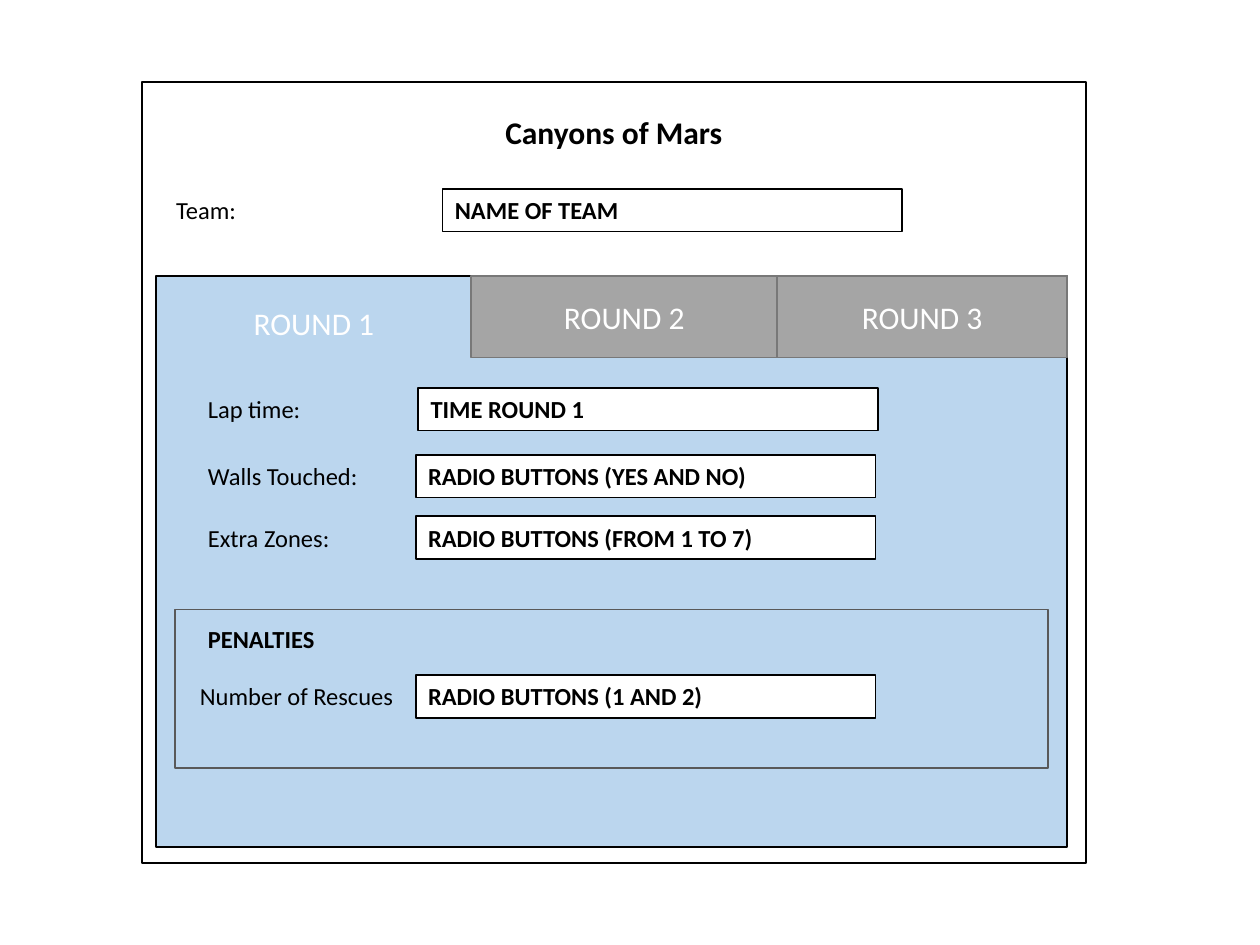
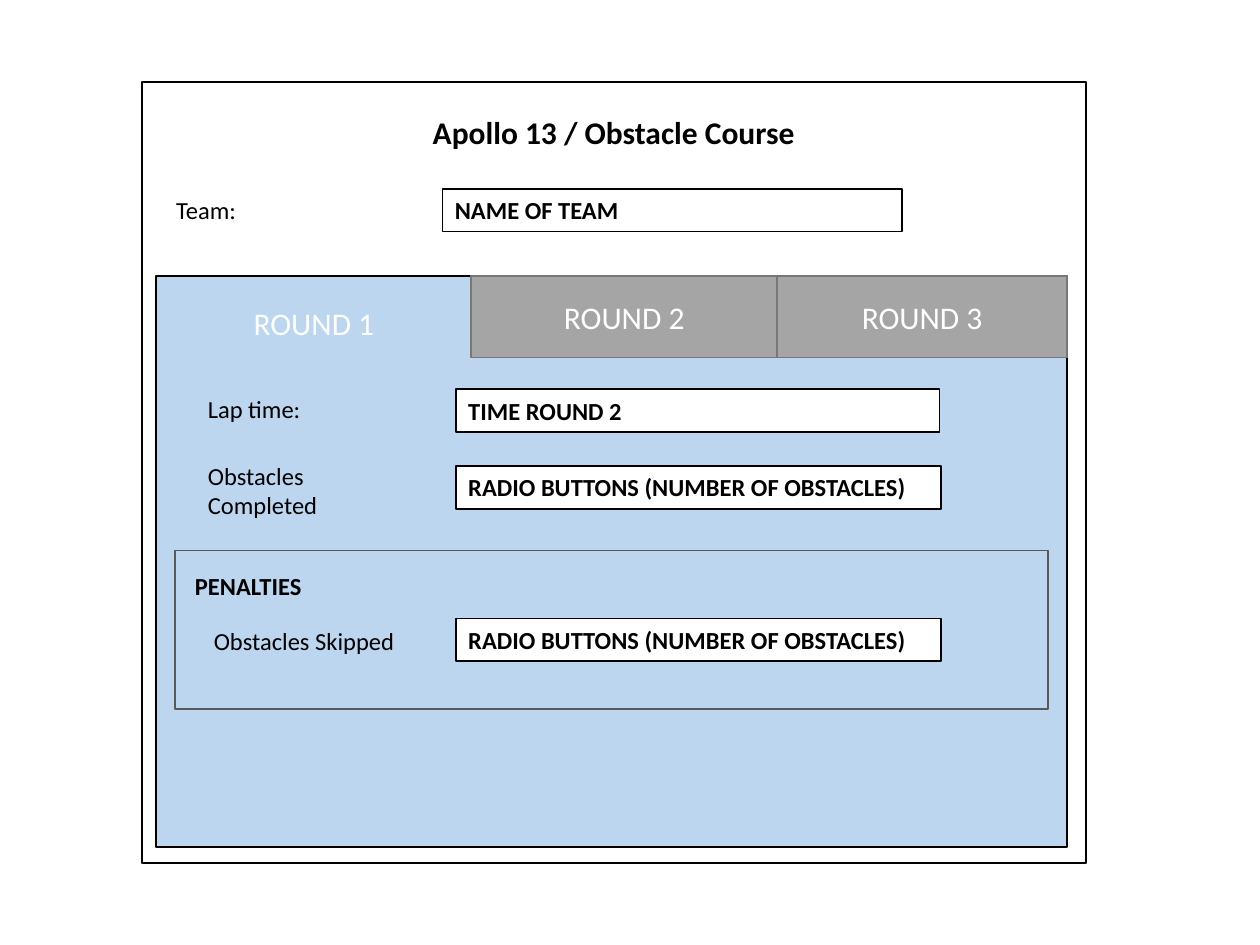
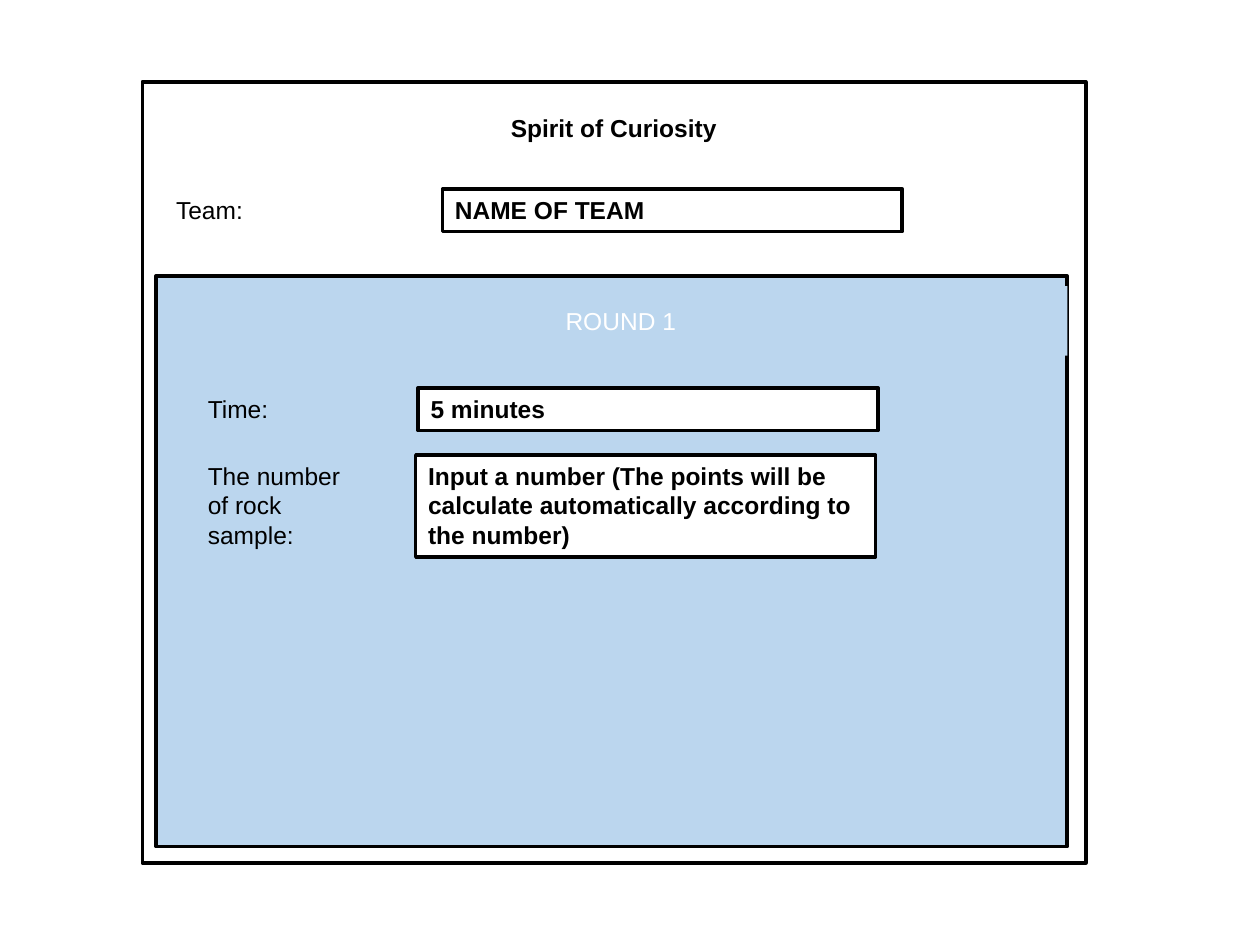
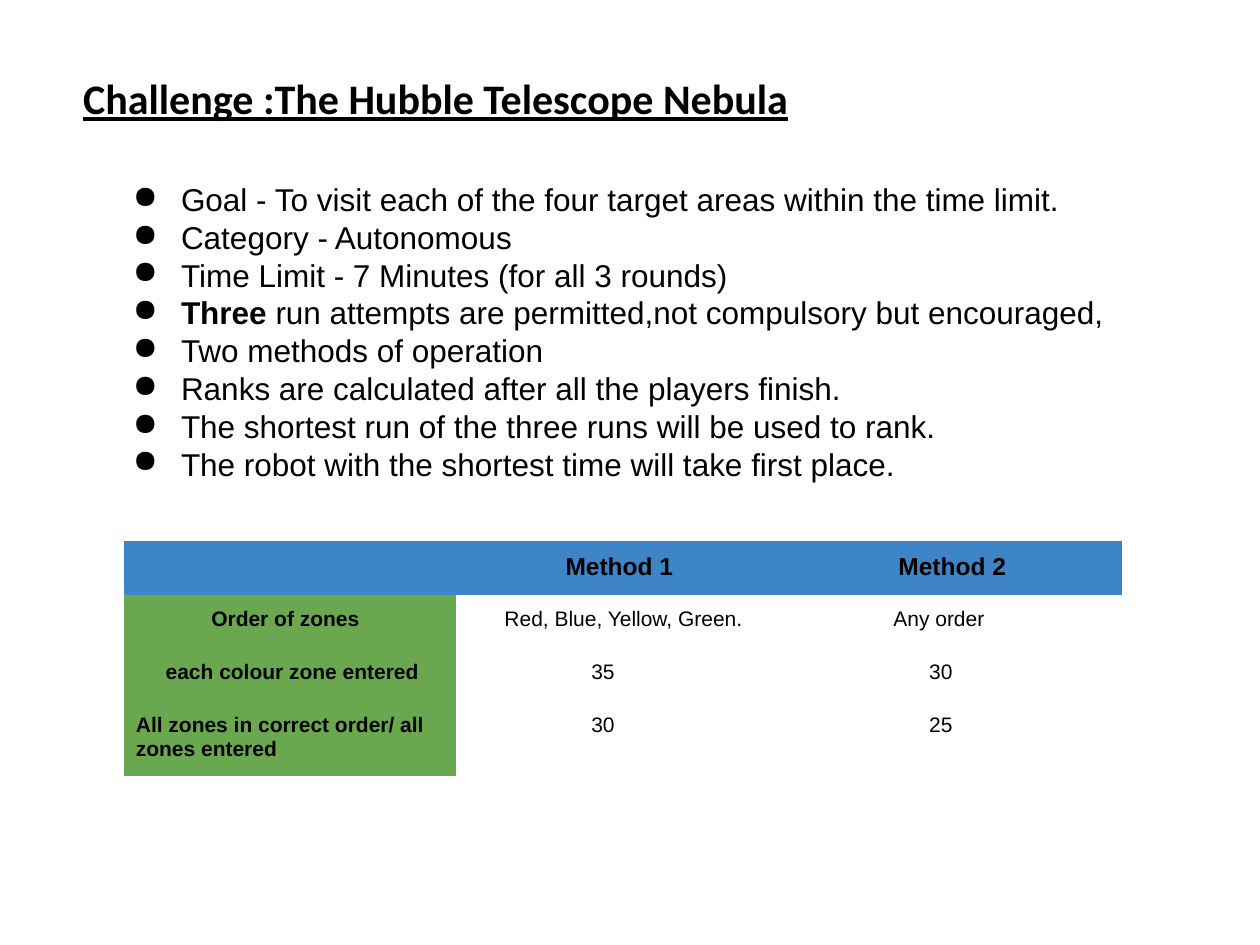
"""Build three score-entry forms and one challenge summary."""
from lxml.etree import SubElement
from pptx import Presentation
from pptx.dml.color import RGBColor
from pptx.enum.shapes import MSO_SHAPE as Preset
from pptx.enum.text import MSO_ANCHOR as Anchor, PP_ALIGN as Align
from pptx.oxml.ns import qn
from pptx.util import Cm, Pt

BLACK = RGBColor(0x00, 0x00, 0x00)
WHITE = RGBColor(0xFF, 0xFF, 0xFF)
PANEL_BLUE = RGBColor(0xBB, 0xD6, 0xEE)
TAB_GRAY = RGBColor(0xA5, 0xA5, 0xA5)
TAB_EDGE = RGBColor(0x78, 0x78, 0x78)
GROUP_EDGE = RGBColor(0x59, 0x59, 0x59)
HEADER_BLUE = RGBColor(0x3D, 0x85, 0xC6)
ROW_GREEN = RGBColor(0x6A, 0xA8, 0x4F)

LINE_HEIGHT = 0.86
LABEL_LEFT = 3.94
LABEL_WIDTH = 3.68
FIELD_WIDTH = 9.27
NO_GRID_STYLE = "{2D5ABB26-0587-4C30-8999-92F81FD0307C}"

FRAME = (2.87, 1.65, 19.02, 15.75)
TITLE = (5.77, 2.16, 13.21, 1.02)
TEAM_LABEL = (3.3, 3.81, LABEL_WIDTH, LINE_HEIGHT)
TEAM_FIELD = (8.92, 3.81, FIELD_WIDTH, LINE_HEIGHT)
PANEL = (3.15, 5.56, 18.36, 11.51)

ROUND_TABS = [
    ("ROUND 1", (3.23, 5.82, 6.2, 1.4), PANEL_BLUE, None),
    ("ROUND 2", (9.5, 5.56, 6.17, 1.65), TAB_GRAY, TAB_EDGE),
    ("ROUND 3", (15.67, 5.56, 5.84, 1.65), TAB_GRAY, TAB_EDGE),
]
SINGLE_TAB = [("ROUND 1", (3.51, 5.77, 18.01, 1.4), PANEL_BLUE, None)]

FORMS = [
    {
        "title": "Canyons of Mars", "font": "Calibri", "heading": 18, "line": 1,
        "tabs": ROUND_TABS,
        "group": (3.53, 12.29, 17.6, 3.2),
        "group_title": (LABEL_LEFT, 12.45),
        "labels": [
            ("Lap time:", LABEL_LEFT, 7.82, LABEL_WIDTH, LINE_HEIGHT),
            ("Walls Touched:", LABEL_LEFT, 9.17, LABEL_WIDTH, LINE_HEIGHT),
            ("Extra Zones:", LABEL_LEFT, 10.41, LABEL_WIDTH, LINE_HEIGHT),
            ("Number of Rescues", 3.78, 13.61, 4.47, LINE_HEIGHT),
        ],
        "fields": [
            ("TIME ROUND 1", 8.43, 7.82, FIELD_WIDTH, LINE_HEIGHT),
            ("RADIO BUTTONS (YES AND NO)", 8.38, 9.17, FIELD_WIDTH, LINE_HEIGHT),
            ("RADIO BUTTONS (FROM 1 TO 7)", 8.38, 10.41, FIELD_WIDTH, LINE_HEIGHT),
            ("RADIO BUTTONS (1 AND 2)", 8.38, 13.61, FIELD_WIDTH, LINE_HEIGHT),
        ],
    },
    {
        "title": "Apollo 13 / Obstacle Course", "font": "Calibri", "heading": 18, "line": 1,
        "tabs": ROUND_TABS,
        "group": (3.53, 11.1, 17.6, 3.2),
        "group_title": (3.68, 11.38),
        "labels": [
            ("Lap time:", LABEL_LEFT, 7.82, LABEL_WIDTH, LINE_HEIGHT),
            ("Obstacles Completed", LABEL_LEFT, 9.17, LABEL_WIDTH, 1.45),
            ("Obstacles Skipped", 4.06, 12.5, 4.24, LINE_HEIGHT),
        ],
        "fields": [
            ("TIME ROUND 2", 9.19, 7.85, 9.75, LINE_HEIGHT),
            ("RADIO BUTTONS (NUMBER OF OBSTACLES)", 9.19, 9.4, 9.78, LINE_HEIGHT),
            ("RADIO BUTTONS (NUMBER OF OBSTACLES)", 9.19, 12.47, 9.78, LINE_HEIGHT),
        ],
    },
    {
        "title": "Spirit of Curiosity", "font": "Arial", "heading": 14, "line": 2,
        "tabs": SINGLE_TAB,
        "group": None,
        "labels": [
            ("Time:", LABEL_LEFT, 7.82, LABEL_WIDTH, LINE_HEIGHT),
            ("The number of rock sample:", LABEL_LEFT, 9.17, LABEL_WIDTH, 1.45),
        ],
        "fields": [
            ("5 minutes", 8.43, 7.82, FIELD_WIDTH, LINE_HEIGHT),
            ("Input a number (The points will be calculate automatically according to the number)",
             8.38, 9.17, FIELD_WIDTH, 2.06),
        ],
    },
]

CHALLENGE_TITLE = "Challenge :The Hubble Telescope Nebula"
CHALLENGE_RULES = [
    [("Goal - To visit each of the four target areas within the time limit.", False)],
    [("Category - Autonomous", False)],
    [("Time Limit - 7 Minutes (for all 3 rounds)", False)],
    [("Three", True), (" run attempts are permitted,not compulsory but encouraged,", False)],
    [("Two methods of operation", False)],
    [("Ranks are calculated after all the players finish.", False)],
    [("The shortest run of the three runs will be used to rank.", False)],
    [("The robot with the shortest time will take first place.", False)],
]
METHOD_ROWS = [
    [("", 0), ("Method 1", 2.2), ("Method 2", 2.2)],
    [("Order of zones", 1.77), ("Red, Blue, Yellow, Green.", 0.97), ("Any order", 2.1)],
    [("each colour zone entered", 0.85), ("35", 2.72), ("30", 2.82)],
    [("All zones in correct order/ all zones entered", 0.25), ("30", 2.72), ("25", 2.82)],
]


def add_span(para, text, font, size, color=BLACK, bold=False, underline=False):
    span = para.add_run()
    span.text = text
    span.font.name = font
    span.font.size = Pt(size)
    span.font.bold = bold
    span.font.underline = underline
    span.font.color.rgb = color


def add_text(page, place):
    box = page.shapes.add_textbox(*map(Cm, place))
    box.text_frame.word_wrap = True
    return box.text_frame


def add_box(page, place, fill=None, edge=None, width=1):
    box = page.shapes.add_shape(Preset.RECTANGLE, *map(Cm, place))
    box.shadow.inherit = False
    if fill is None:
        box.fill.background()
    else:
        box.fill.solid()
        box.fill.fore_color.rgb = fill
    if edge is None:
        box.line.fill.background()
    else:
        box.line.color.rgb = edge
        box.line.width = Pt(width)
    box.text_frame.word_wrap = True
    return box.text_frame


def add_label(page, text, place, font, size=14, bold=False, align=Align.LEFT):
    para = add_text(page, place).paragraphs[0]
    para.alignment = align
    add_span(para, text, font, size, bold=bold)


def add_field(page, text, place, font, width):
    frame = add_box(page, place, WHITE, BLACK, width)
    frame.vertical_anchor = Anchor.TOP
    para = frame.paragraphs[0]
    para.alignment = Align.LEFT
    add_span(para, text, font, 14, bold=True)


def add_tab(page, text, place, fill, edge, font, size):
    frame = add_box(page, place, fill, edge)
    frame.vertical_anchor = Anchor.MIDDLE
    para = frame.paragraphs[0]
    para.alignment = Align.CENTER
    add_span(para, text, font, size, WHITE)


def build_form(page, form):
    font, heading, width = form["font"], form["heading"], form["line"]
    add_box(page, FRAME, None, BLACK, width)
    add_label(page, form["title"], TITLE, font, heading, True, Align.CENTER)
    add_label(page, "Team:", TEAM_LABEL, font)
    add_field(page, "NAME OF TEAM", TEAM_FIELD, font, width)
    add_box(page, PANEL, PANEL_BLUE, BLACK, width)
    for text, place, fill, edge in form["tabs"]:
        add_tab(page, text, place, fill, edge, font, heading)
    if form["group"]:
        add_box(page, form["group"], None, GROUP_EDGE)
        place = (*form["group_title"], LABEL_WIDTH, LINE_HEIGHT)
        add_label(page, "PENALTIES", place, font, bold=True)
    for text, *place in form["labels"]:
        add_label(page, text, place, font)
    for text, *place in form["fields"]:
        add_field(page, text, place, font, width)


def set_margins(frame, margin):
    frame.margin_left = frame.margin_right = Cm(margin)
    frame.margin_top = frame.margin_bottom = Cm(margin)


def add_bullet(para):
    props = para._p.get_or_add_pPr()
    props.set("marL", str(Cm(1.27)))
    props.set("indent", str(Cm(-0.97)))
    color = SubElement(props, qn("a:buClr"))
    SubElement(color, qn("a:srgbClr"), val=str(BLACK))
    SubElement(props, qn("a:buChar"), char="●")


def add_methods(page):
    shape = page.shapes.add_table(4, 3, Cm(2.49), Cm(10.9), Cm(20.13), Cm(4.28))
    table = shape.table
    table.first_row = table.horz_banding = False
    table._tbl.tblPr.find(qn("a:tableStyleId")).text = NO_GRID_STYLE
    for row, entries in enumerate(METHOD_ROWS):
        for column, (text, indent) in enumerate(entries):
            cell = table.cell(row, column)
            if row == 0 or column == 0:
                cell.fill.solid()
                cell.fill.fore_color.rgb = HEADER_BLUE if row == 0 else ROW_GREEN
            else:
                cell.fill.background()
            set_margins(cell, 0.25 if text else 0)
            cell.margin_left = Cm(indent)
            if text:
                size = 14 if row == 0 else 12
                bold = row == 0 or column == 0
                add_span(cell.text_frame.paragraphs[0], text, "Arial", size, bold=bold)


def build_challenge(page):
    frame = add_text(page, (1.14, 0.99, 15.29, 1.75))
    set_margins(frame, 0.25)
    frame.vertical_anchor = Anchor.BOTTOM
    para = frame.paragraphs[0]
    para.alignment = Align.CENTER
    para.line_spacing = 0.9
    add_span(para, CHALLENGE_TITLE, "Calibri", 24, bold=True, underline=True)

    frame = add_text(page, (2.13, 3.38, 21.69, 12.73))
    set_margins(frame, 0.25)
    for index, rule in enumerate(CHALLENGE_RULES):
        para = frame.add_paragraph() if index else frame.paragraphs[0]
        add_bullet(para)
        for text, bold in rule:
            add_span(para, text, "Arial", 18, bold=bold)
    add_methods(page)


def main():
    deck = Presentation()
    deck.slide_width, deck.slide_height = Cm(25.4), Cm(19.05)
    blank = deck.slide_layouts[6]
    for form in FORMS:
        build_form(deck.slides.add_slide(blank), form)
    build_challenge(deck.slides.add_slide(blank))
    deck.save("out.pptx")


if __name__ == "__main__":
    main()
